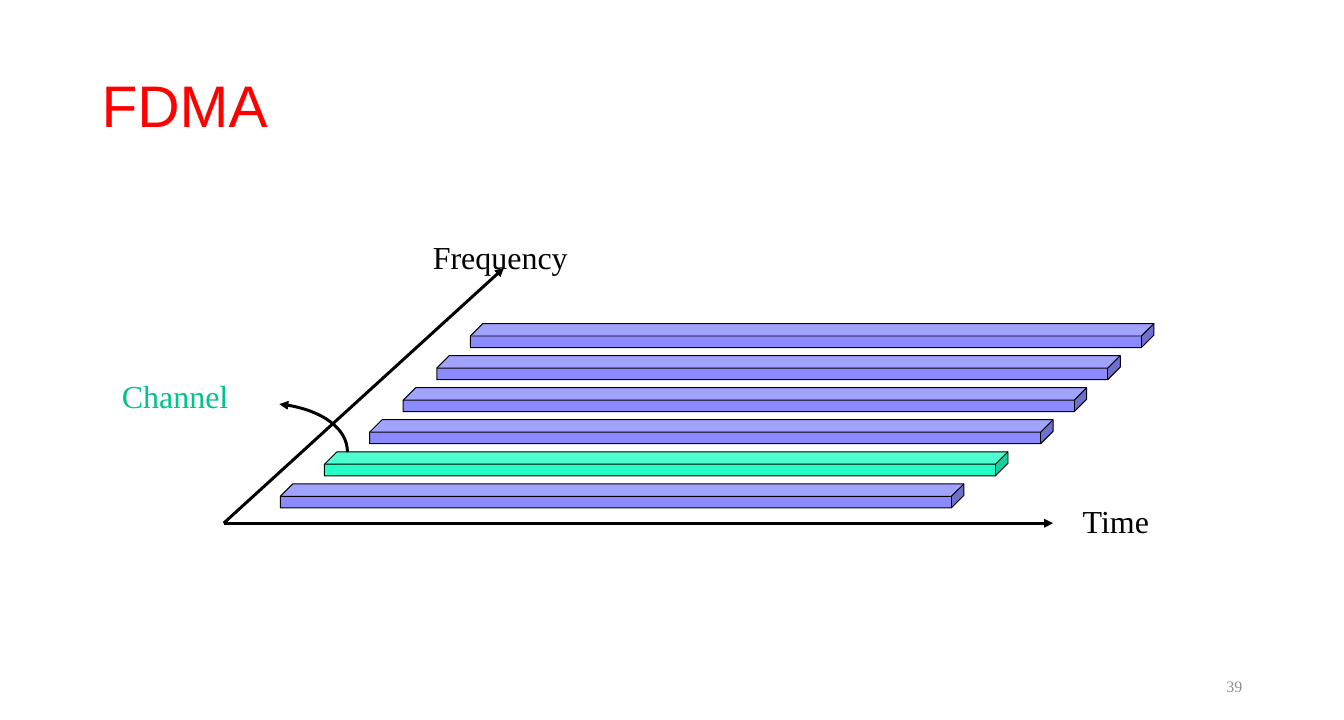
from lxml import etree
from pptx import Presentation, util as u
from pptx.dml.color import RGBColor
from pptx.enum import shapes, text
from pptx.oxml.ns import qn

RED = RGBColor(0xFF, 0, 0)
BLACK = RGBColor(0, 0, 0)
GRAY = RGBColor(0x8C, 0x8C, 0x8C)
VIOLET = RGBColor(0x8B, 0x8B, 0xFF)
MINT = RGBColor(0x23, 0xFF, 0xC5)
GREEN = RGBColor(0, 0xC2, 0x8F)
SERIF = "Times New Roman"
COLUMNS, ROWS = 140, 75


class Diagram:
    """Draws on one slide; lengths are columns and rows of a 140 by 75 grid."""

    def __init__(self, deck):
        self.slide = deck.slides.add_slide(deck.slide_layouts[6])
        self.shapes = self.slide.shapes
        self.column = deck.slide_width / COLUMNS
        self.row = deck.slide_height / ROWS

    def grid(self, *lengths):
        """Turn alternating columns and rows into EMU."""
        return [round(n * (self.row if i % 2 else self.column))
                for i, n in enumerate(lengths)]

    def label(self, words, *place, size=24, font=SERIF, color=BLACK,
              align=text.PP_ALIGN.LEFT, anchor=text.MSO_ANCHOR.TOP,
              spacing=None, wrap=False):
        frame = self.shapes.add_textbox(*self.grid(*place)).text_frame
        frame.word_wrap = wrap
        frame.auto_size = (text.MSO_AUTO_SIZE.NONE if wrap
                           else text.MSO_AUTO_SIZE.SHAPE_TO_FIT_TEXT)
        frame.vertical_anchor = anchor
        paragraph = frame.paragraphs[0]
        paragraph.alignment = align
        paragraph.line_spacing = spacing
        run = paragraph.add_run()
        run.text = words
        run.font.size = u.Pt(size)
        run.font.name = font
        run.font.color.rgb = color

    def bar(self, left, top, color):
        cube = self.shapes.add_shape(shapes.MSO_SHAPE.CUBE,
                                     *self.grid(left, top, 71.2, 2.5))
        cube.adjustments[0] = 0.52
        cube.shadow.inherit = False
        cube.fill.solid()
        cube.fill.fore_color.rgb = color
        cube.line.color.rgb = BLACK
        cube.line.width = u.Pt(0.75)

    def stroke(self, shape, arrow_end):
        """Give a heavy line; arrow_end is headEnd (start) or tailEnd (finish)."""
        shape.line.color.rgb = BLACK
        shape.line.width = u.Pt(2.25)
        outline = shape._element.spPr.find(qn("a:ln"))
        etree.SubElement(outline, qn(f"a:{arrow_end}"), type="triangle")

    def axis(self, start, end):
        line = self.shapes.add_connector(shapes.MSO_CONNECTOR.STRAIGHT,
                                         *self.grid(*start, *end))
        self.stroke(line, "tailEnd")
        etree.SubElement(line._element.spPr, qn("a:effectLst"))

    def curved_arrow(self, tip, *controls_and_end):
        """Draw one cubic curve with its arrowhead at the tip."""
        builder = self.shapes.build_freeform(*self.grid(*tip))
        builder.add_line_segments([self.grid(*point) for point in controls_and_end],
                                  close=False)
        curve = builder.convert_to_shape()
        segments = list(curve._element.iter(qn("a:lnTo")))
        bezier = etree.SubElement(segments[0].getparent(), qn("a:cubicBezTo"))
        for segment in segments:
            bezier.append(segment[0])
            segment.getparent().remove(segment)
        curve.shadow.inherit = False
        curve.fill.background()
        self.stroke(curve, "headEnd")


def main():
    deck = Presentation()
    deck.slide_width, deck.slide_height = u.Inches(14), u.Inches(7.5)
    fdma = Diagram(deck)

    fdma.label("FDMA", 9.6, 4, 120.7, 14.5, size=44, font="Arial", color=RED,
               anchor=text.MSO_ANCHOR.MIDDLE, spacing=0.9, wrap=True)
    fdma.label("39", 98.9, 69.5, 31.5, 4, size=12, color=GRAY,
               align=text.PP_ALIGN.RIGHT, anchor=text.MSO_ANCHOR.MIDDLE, wrap=True)

    channel_lefts = [49, 45.5, 42, 38.5, 33.8, 29.2]
    selected_channel = 4
    for i, left in enumerate(channel_lefts):
        fdma.bar(left, 33.7 + 3.34 * i, MINT if i == selected_channel else VIOLET)

    origin = (23.3, 54.5)
    fdma.axis(origin, (52.5, 27.9))
    fdma.axis(origin, (109.7, 54.5))
    fdma.label("Time", 111.8, 51.7, 9.5, 4.9)
    fdma.label("Frequency", 44.1, 24.2, 17.4, 4.9)

    fdma.curved_arrow((29.1, 42.1), (33.1, 42.5), (36.2, 44.6), (36.2, 47.1))
    fdma.label("Channel", 11.7, 38.7, 14.1, 4.9, color=GREEN)
    deck.save("out.pptx")


if __name__ == "__main__":
    main()
